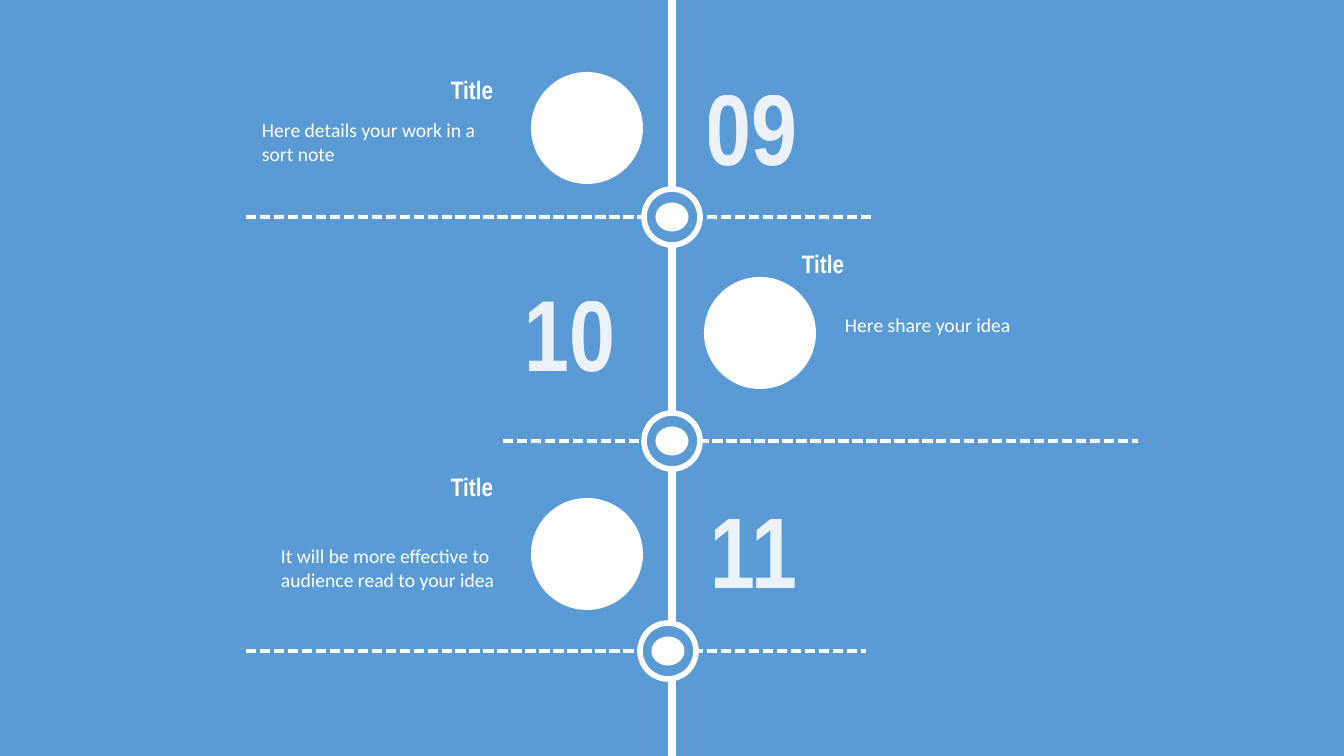
"""Build a vertical timeline slide with three numbered steps."""
from pptx import Presentation
from pptx.dml.color import RGBColor
from pptx.enum.dml import MSO_LINE
from pptx.enum.shapes import MSO_CONNECTOR, MSO_SHAPE
from pptx.enum.text import MSO_AUTO_SIZE, PP_ALIGN
from pptx.oxml import parse_xml
from pptx.oxml.ns import nsdecls
from pptx.util import Pt

DASH = MSO_LINE.SQUARE_DOT
LINE = MSO_CONNECTOR.STRAIGHT
OVAL = MSO_SHAPE.OVAL
GROW = MSO_AUTO_SIZE.SHAPE_TO_FIT_TEXT
LEFT, RIGHT = PP_ALIGN.LEFT, PP_ALIGN.RIGHT

STEPS = [
    dict(num="09", title="Title", note="Here details your work in a sort note",
         dash=(246, 871), node=(672, 217), num_at=(696, 60), disc=(531, 72),
         head=(291, 69, 212, 40), body=(252, 113, 251, 57)),
    dict(num="10", title="Title", note="Here share your idea",
         dash=(503, 1138), node=(672, 441), num_at=(514, 266), disc=(704, 277),
         head=(753, 243, 101, 40), body=(835, 308, 251, 34)),
    dict(num="11", title="Title", note="It will be more effective to audience read to your idea",
         dash=(246, 866), node=(668, 651), num_at=(700, 483), disc=(531, 498),
         head=(291, 466, 212, 40), body=(271, 539, 251, 57)),
]
THEME = dict(
    back=RGBColor(0x5B, 0x9B, 0xD5), ink=RGBColor(255, 255, 255),
    spine=6, dash=2.5, ring=4,
    num=("Arial Narrow", 72, True), head=("Arial Narrow", 18, True),
    body=("Calibri", 14, False), alpha=87)
WIDE, HIGH = 1344, 756
MID = WIDE / 2
RING, DOT, DISC, NUM = (56, 56), (33, 29), (112, 112), (170, 132)
SCALE = 914400 / 100.8


def px(*vals):
    return [round(v * SCALE) for v in vals]


def rule(x1, y1, x2, y2, size, dash=None):
    line = slide.shapes.add_connector(LINE, *px(x1, y1, x2, y2))
    line.line.color.rgb = THEME["ink"]
    line.line.width = Pt(size)
    if dash:
        line.line.dash_style = dash
    line._element.spPr.append(parse_xml(f"<a:effectLst {nsdecls('a')}/>"))


def oval(mid, size, fill, edge=None):
    (x, y), (w, h) = mid, size
    dot = slide.shapes.add_shape(OVAL, *px(x - w / 2, y - h / 2, w, h))
    dot.shadow.inherit = False
    dot.fill.solid()
    dot.fill.fore_color.rgb = THEME[fill]
    if edge:
        dot.line.color.rgb = THEME["ink"]
        dot.line.width = Pt(edge)
    else:
        dot.line.fill.background()


def label(text, area, style, align=LEFT, alpha=None):
    frame = slide.shapes.add_textbox(*px(*area)).text_frame
    frame.word_wrap = True
    frame.auto_size = GROW
    frame.text = text
    para = frame.paragraphs[0]
    para.alignment = align
    run = para.runs[0]
    run.font.name, size, run.font.bold = THEME[style]
    run.font.size = Pt(size)
    run.font.color.rgb = THEME["ink"]
    if alpha:
        tone = run._r.xpath(".//a:srgbClr")[0]
        tone.append(parse_xml(f'<a:alpha {nsdecls("a")} val="{alpha * 1000}"/>'))


deck = Presentation()
deck.slide_width, deck.slide_height = px(WIDE, HIGH)
slide = deck.slides.add_slide(deck.slide_layouts[6])
slide.background.fill.solid()
slide.background.fill.fore_color.rgb = THEME["back"]

rule(MID, 0, MID, HIGH, THEME["spine"])
for step in STEPS:
    start, end = step["dash"]
    y = step["node"][1]
    rule(start, y, end, y, THEME["dash"], DASH)
    oval(step["node"], RING, "back", THEME["ring"])
    oval(step["node"], DOT, "ink")
    left, top = step["disc"]
    oval((left + DISC[0] / 2, top + DISC[1] / 2), DISC, "ink")
    label(step["num"], step["num_at"] + NUM, "num", alpha=THEME["alpha"])
    label(step["title"], step["head"], "head", RIGHT)
    label(step["note"], step["body"], "body")

deck.save("out.pptx")
